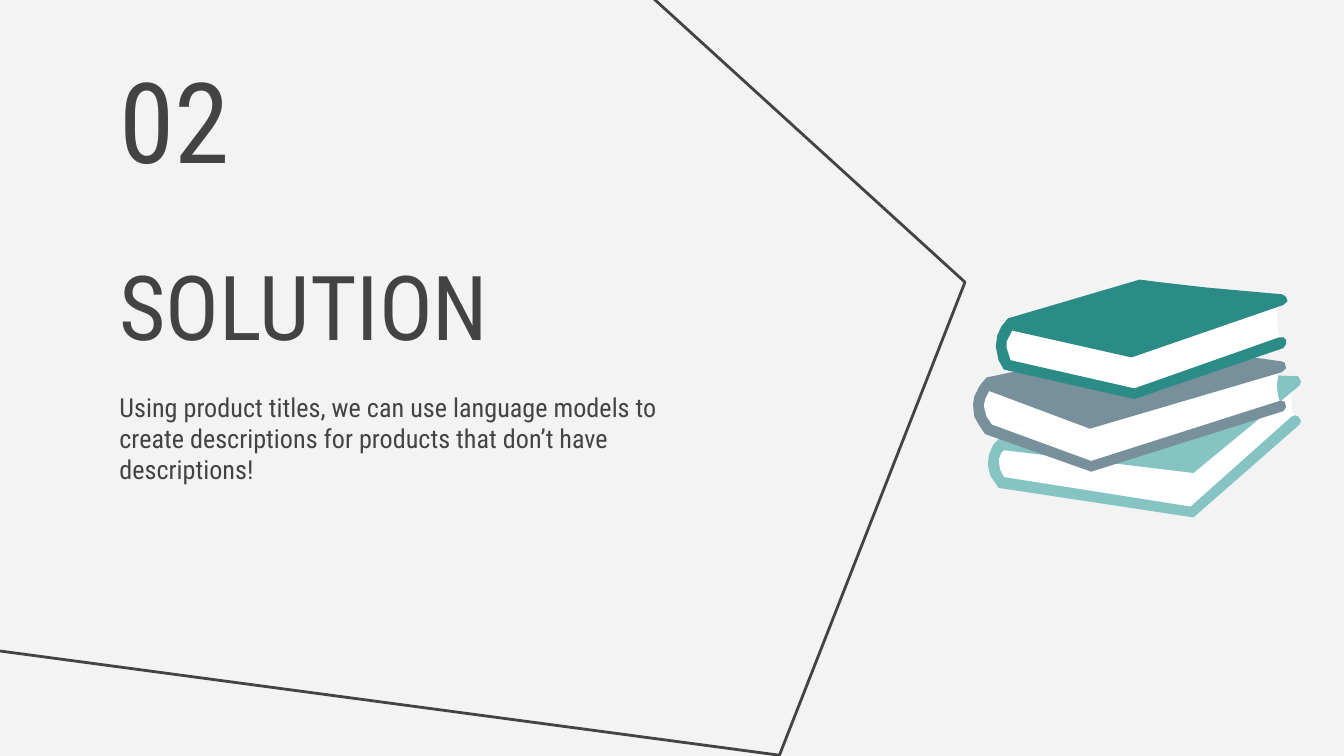
import pptx
import pptx.util
import pptx.dml.color
import pptx.enum.text

Pt = pptx.util.Pt
RGBColor = pptx.dml.color.RGBColor
Anchor = pptx.enum.text.MSO_ANCHOR

PAPER = RGBColor(0xF3, 0xF3, 0xF3)
INK = RGBColor(0x43, 0x43, 0x43)
WHITE = RGBColor(0xFF, 0xFF, 0xFF)
MINT = RGBColor(0x86, 0xC4, 0xC4)
SLATE = RGBColor(0x78, 0x90, 0x9C)
TEAL = RGBColor(0x2B, 0x8B, 0x87)
FONT = "Roboto Condensed"
LEFT = 56.9

FRAME = [(347.8, -2.9), (517, 151.2), (417.6, 404.6), (-2.2, 348.5)]

LOW_PAGES = [
    (694, 204.5), (638.6, 250.6), (536.4, 237.6), (534.2, 240.5),
    (532.8, 244), (532.1, 247), (533.5, 254.2), (536.4, 258.5),
    (638.6, 274.3), (694, 225.4), (691.9, 219.6), (691.9, 211.7)]
LOW_COVER = [
    (599.8, 197.3), (596.2, 198), (586.1, 203), (535.7, 234.7),
    (532.1, 238.3), (529.9, 243.4), (529.2, 249.1), (530.6, 254.9),
    (535, 261.4), (639.4, 277.2), (696.2, 227.5), (697, 225.4),
    (695.5, 223.2), (694.1, 222.5), (691.9, 223.2), (637.9, 271.4),
    (537.8, 255.6), (535.7, 251.3), (535, 246.2), (536.4, 242.6),
    (537.8, 241.2), (639.4, 253.4), (696.2, 206.6), (697, 204.5),
    (695.5, 201.6), (679.7, 200.9), (630.7, 198), (614.9, 197.3)]
MID_PAGES = [
    (686.2, 195.8), (583.9, 226.1), (529.2, 205.2), (526.3, 208.8),
    (524.9, 213.1), (524.2, 217.4), (525.6, 223.9), (527.8, 227.5),
    (529.9, 229.7), (584.6, 249.1), (686.2, 216.7), (684.7, 212.4),
    (684, 206.6), (684.7, 201.6)]
MID_COVER = [
    (616.3, 183.6), (528.5, 202.3), (524.9, 206.6), (522, 212.4),
    (521.3, 216.7), (522, 223.2), (524.2, 227.2), (527.8, 232.6),
    (584.6, 252.7), (687.6, 220.3), (689, 218.2), (688.3, 215.3),
    (686.2, 214.6), (584.6, 247), (531.4, 227.5), (528.5, 223.2),
    (527, 217.4), (527.8, 213.8), (529.9, 209.5), (583.9, 229.7),
    (686.9, 199.4), (689, 197.3), (688.3, 194.4), (686.9, 193.7)]
TOP_PAGES = [
    (686.9, 160.6), (606.2, 187.9), (540.7, 173.5), (537.8, 179.3),
    (536.4, 185), (537.1, 190.1), (539.3, 195.8), (607.7, 211),
    (686.9, 183.6), (684.7, 177.8), (684, 170.6), (684.7, 164.9)]
TOP_COVER = [
    (610.6, 149.8), (540, 170.6), (536.4, 175), (534.2, 180),
    (533.5, 185.8), (535, 193), (537.8, 198), (607.7, 213.8),
    (687.6, 186.5), (689, 184.3), (689, 182.2), (687.6, 180.7),
    (685.4, 180.7), (607.7, 208.1), (541.4, 193), (539.3, 186.5),
    (539.3, 182.9), (542.2, 177.1), (606.2, 191.5), (687.6, 163.4),
    (689.8, 161.3), (689, 159.1), (686.9, 157.7), (646.6, 154.1),
    (621.4, 151.2)]


def trace(shapes, points, close):
    start, *rest = [(Pt(x), Pt(y)) for x, y in points]
    pen = shapes.build_freeform(*start)
    pen.add_line_segments(rest, close=close)
    shape = pen.convert_to_shape()
    shape.shadow.inherit = False
    return shape


def add_frame(slide):
    frame = trace(slide.shapes, FRAME, False)
    frame.fill.background()
    frame.line.color.rgb = INK
    frame.line.width = Pt(1.5)


def add_book(group, pages, cover, color):
    for points, fill in ((pages, WHITE), (cover, color)):
        part = trace(group.shapes, points, True)
        part.fill.solid()
        part.fill.fore_color.rgb = fill
        part.line.fill.background()


def add_text(slide, text, top, width, height, size, anchor):
    box = slide.shapes.add_textbox(Pt(LEFT), Pt(top), Pt(width), Pt(height))
    frame = box.text_frame
    frame.word_wrap = True
    frame.vertical_anchor = anchor
    frame.margin_left = frame.margin_right = Pt(7.2)
    frame.margin_top = frame.margin_bottom = Pt(7.2)
    frame.text = text
    font = frame.paragraphs[0].runs[0].font
    font.name = FONT
    font.size = Pt(size)
    font.color.rgb = INK
    return frame


def main():
    deck = pptx.Presentation()
    deck.slide_width = Pt(720)
    deck.slide_height = Pt(405)
    slide = deck.slides.add_slide(deck.slide_layouts[6])
    slide.background.fill.solid()
    slide.background.fill.fore_color.rgb = PAPER

    add_frame(slide)
    add_text(slide, "SOLUTION", 136.1, 303.1, 54.7, 48, Anchor.MIDDLE)
    add_text(slide, "02", 25.2, 165.6, 77, 60, Anchor.MIDDLE)
    body = add_text(
        slide,
        "Using product titles, we can use language models to create "
        "descriptions for products that don’t have descriptions!",
        202.3, 320.4, 133.2, 14, Anchor.TOP)
    body.paragraphs[0].space_after = Pt(16)

    stack = slide.shapes.add_group_shape()
    add_book(stack, LOW_PAGES, LOW_COVER, MINT)
    add_book(stack, MID_PAGES, MID_COVER, SLATE)
    add_book(stack, TOP_PAGES, TOP_COVER, TEAL)

    deck.save("out.pptx")


if __name__ == "__main__":
    main()
